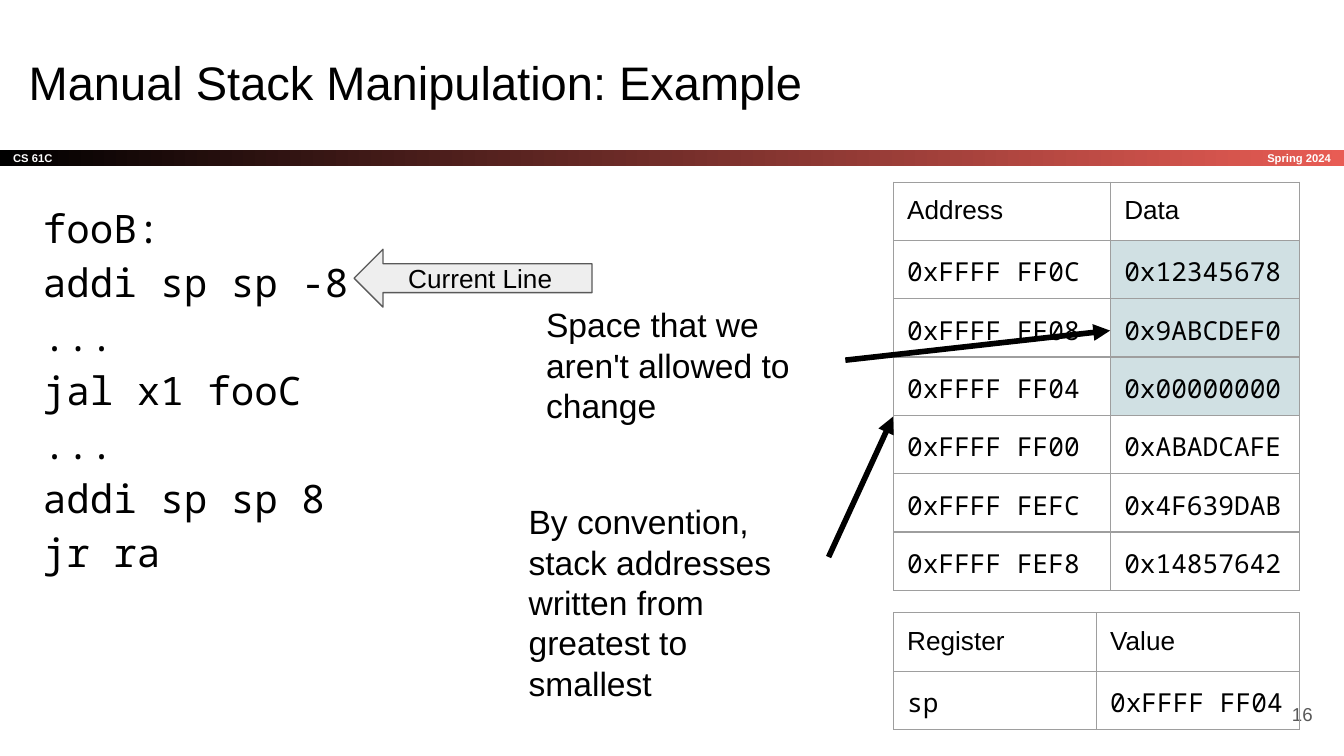
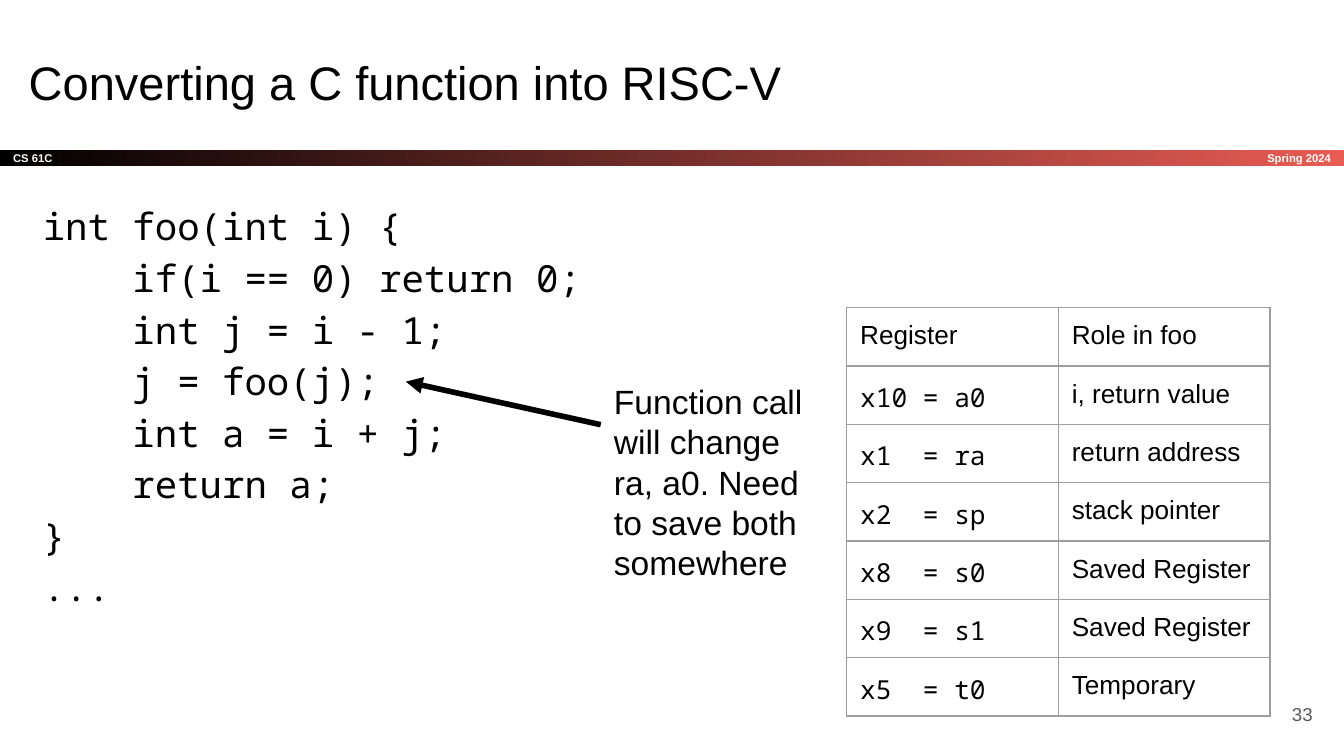
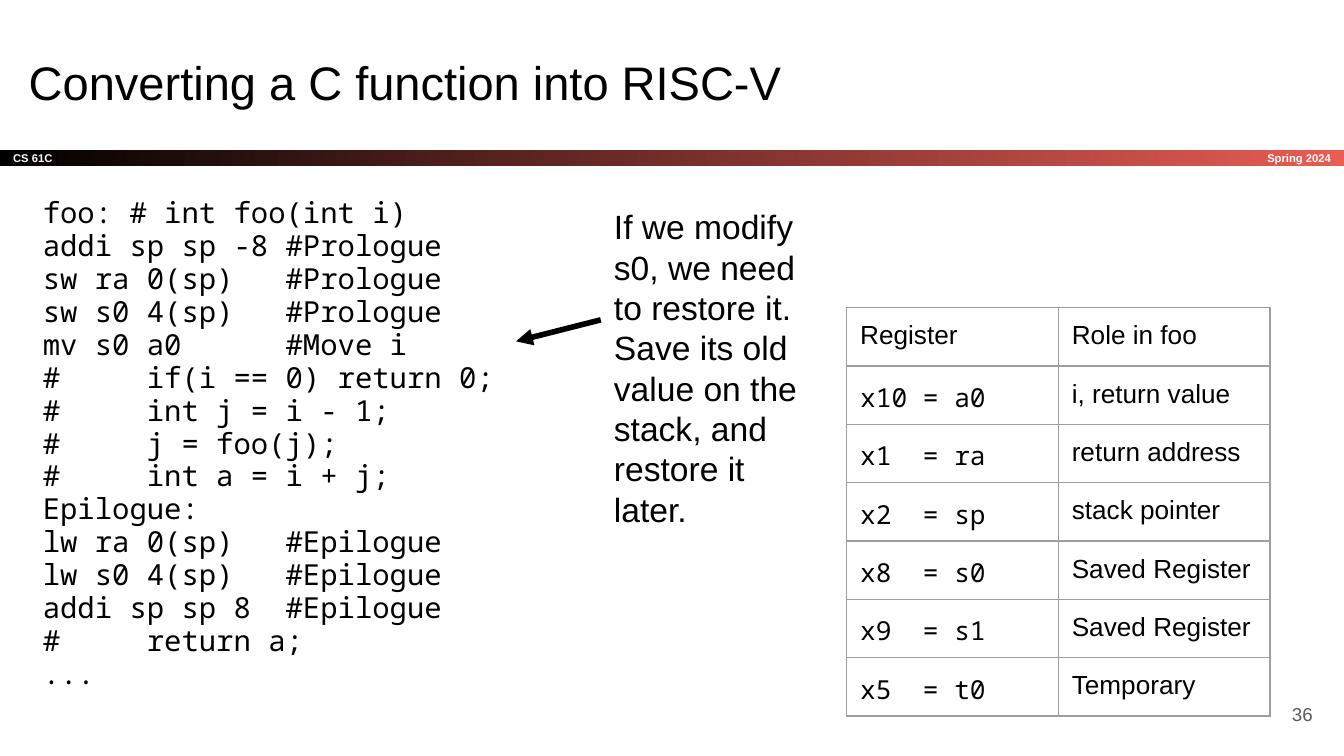
"""Build three lecture slides on the RISC-V stack and calling convention."""
from dataclasses import dataclass

from lxml import etree
from pptx import Presentation
from pptx import util as u
from pptx.dml.color import RGBColor
from pptx.enum import shapes, text
from pptx.oxml.ns import qn

EMU_PER_PX = 4572
INSET = 20
ROW_H = 84
TABLE_FRAME = 656


@dataclass(frozen=True)
class Theme:
    """Colours, fonts and type sizes shared by the slides."""
    ink: str = "000000"
    accent: str = "E85C54"
    paper: str = "FFFFFF"
    muted: str = "595959"
    grid: str = "9E9E9E"
    callout: str = "EEEEEE"
    in_use: str = "D0E0E3"
    sans: str = "Arial"
    mono: str = "Noto Sans Mono"
    title: float = 25.2
    note: float = 18
    label: float = 14
    number: float = 10
    band: float = 6
    hairline: float = 0.75
    arrow: float = 3


T = Theme()

STACK_CODE = "\v".join([
    "fooB:", "addi sp sp -8", "...", "jal x1 fooC", "...", "addi sp sp 8", "jr ra"])

STACK_ROWS = [
    ("Address", "Data"),
    ("0xFFFF FF0C", "0x12345678"),
    ("0xFFFF FF08", "0x9ABCDEF0"),
    ("0xFFFF FF04", "0x00000000"),
    ("0xFFFF FF00", "0xABADCAFE"),
    ("0xFFFF FEFC", "0x4F639DAB"),
    ("0xFFFF FEF8", "0x14857642"),
]

POINTER_ROWS = [("Register", "Value"), ("sp", "0xFFFF FF04")]

ROLE_ROWS = [
    ("Register", "Role in foo"),
    ("x10 = a0", "i, return value"),
    ("x1  = ra", "return address"),
    ("x2  = sp", "stack pointer"),
    ("x8  = s0", "Saved Register"),
    ("x9  = s1", "Saved Register"),
    ("x5  = t0", "Temporary"),
]

C_CODE = """int foo(int i) {
    if(i == 0) return 0;
    int j = i - 1;
    j = foo(j);
    int a = i + j;
    return a;
}
..."""

ASM_CODE = """foo: # int foo(int i)
addi sp sp -8 #Prologue
sw ra 0(sp)   #Prologue
sw s0 4(sp)   #Prologue
mv s0 a0      #Move i
#     if(i == 0) return 0;
#     int j = i - 1;
#     j = foo(j);
#     int a = i + j;
Epilogue:
lw ra 0(sp)   #Epilogue
lw s0 4(sp)   #Epilogue
addi sp sp 8  #Epilogue
#     return a;
..."""


def px(n):
    """Turn px into EMU."""
    return u.Emu(n * EMU_PER_PX)


def rgb(color):
    """Return a colour object for a hex string."""
    return RGBColor.from_string(color)


def set_text(tf, words, size, font=T.sans, color=T.ink, bold=False, align=None, spacing=None):
    """Fill a text frame and format all of its runs alike."""
    tf.text = words
    for p in tf.paragraphs:
        p.alignment = align
        p.line_spacing = spacing
        for r in p.runs:
            r.font.name = font
            r.font.size = u.Pt(size)
            r.font.bold = bold
            r.font.color.rgb = rgb(color)


def set_insets(tf, middle=False):
    """Give a shape's text frame equal insets, wrapping and an anchor."""
    tf.margin_left = tf.margin_right = tf.margin_top = tf.margin_bottom = px(INSET)
    tf.word_wrap = True
    tf.vertical_anchor = text.MSO_ANCHOR.MIDDLE if middle else text.MSO_ANCHOR.TOP


def add_text(s, box, words, size, middle=False, **style):
    """Add a text box and return its text frame."""
    tf = s.shapes.add_textbox(*map(px, box)).text_frame
    set_insets(tf, middle)
    set_text(tf, words, size, **style)
    return tf


def add_shape(s, kind, box, words, size, **style):
    """Add a preset shape holding vertically centred text."""
    sp = s.shapes.add_shape(kind, *map(px, box))
    sp.shadow.inherit = False
    set_insets(sp.text_frame, middle=True)
    set_text(sp.text_frame, words, size, **style)
    return sp


def add_band(s):
    """Add the gradient band with the course and the term."""
    style = dict(color=T.paper, bold=True)
    sp = add_shape(s, shapes.MSO_SHAPE.RECTANGLE, (0, 223, 2000, 24), "CS 61C", T.band,
                   align=text.PP_ALIGN.LEFT, **style)
    sp.line.fill.background()
    sp.fill.gradient()
    sp.fill.gradient_angle = 0
    for stop, color in zip(sp.fill.gradient_stops, (T.ink, T.accent)):
        stop.color.rgb = rgb(color)
    add_text(s, (1668, 223, 332, 24), "Spring 2024", T.band, middle=True,
             align=text.PP_ALIGN.RIGHT, **style)


def add_slide(prs, title, number):
    """Add a blank slide with the band, title and slide number."""
    s = prs.slides.add_slide(prs.slide_layouts[6])
    add_band(s)
    add_text(s, (23, 60, 1864, 126), title, T.title)
    add_text(s, (1853, 1020, 120, 86), str(number), T.number, middle=True,
             color=T.muted, align=text.PP_ALIGN.RIGHT)
    return s


def add_code(s, words, size, spacing, width=1864):
    """Add the code listing on the left."""
    return add_text(s, (44, 273, width, 824), words, size, font=T.mono, spacing=spacing)


def add_callout(s, box, words):
    """Add a left-pointing block arrow with a label."""
    sp = add_shape(s, shapes.MSO_SHAPE.LEFT_ARROW, box, words, T.label,
                   align=text.PP_ALIGN.CENTER)
    sp.fill.solid()
    sp.fill.fore_color.rgb = rgb(T.callout)
    sp.line.color.rgb = rgb(T.muted)
    sp.line.width = u.Pt(T.hairline)


def add_arrow(s, start, end):
    """Add a straight arrow pointing at end."""
    c = s.shapes.add_connector(shapes.MSO_CONNECTOR.STRAIGHT, *map(px, start + end))
    c.line.color.rgb = rgb(T.ink)
    c.line.width = u.Pt(T.arrow)
    props = c._element.spPr
    etree.SubElement(props.find(qn("a:ln")), qn("a:tailEnd"), type="triangle")
    etree.SubElement(props, qn("a:effectLst"))


def set_borders(cell):
    """Draw a thin line on all sides of a table cell."""
    props = cell._tc.get_or_add_tcPr()
    for side in "LRTB":
        ln = etree.SubElement(props, qn(f"a:ln{side}"), w=str(u.Pt(T.hairline)))
        fill = etree.SubElement(ln, qn("a:solidFill"))
        etree.SubElement(fill, qn("a:srgbClr"), val=T.grid)


def add_table(s, left, top, widths, rows, mono_cols=(0, 1), shaded=()):
    """Add a ruled table with a sans header and monospaced columns below."""
    box = (left, top, TABLE_FRAME, TABLE_FRAME)
    frame = s.shapes.add_table(len(rows), len(widths), *map(px, box))
    table = frame.table
    table.first_row = table.horz_banding = False
    for col, width in zip(table.columns, widths):
        col.width = px(width)
    for i, row in enumerate(rows):
        table.rows[i].height = px(ROW_H)
        for j, words in enumerate(row):
            cell = table.cell(i, j)
            cell.margin_left = cell.margin_right = px(INSET)
            cell.margin_top = cell.margin_bottom = px(INSET)
            font = T.mono if i and j in mono_cols else T.sans
            set_text(cell.text_frame, words, T.label, font=font)
            set_borders(cell)
            if (i, j) in shaded:
                cell.fill.solid()
                cell.fill.fore_color.rgb = rgb(T.in_use)
            else:
                cell.fill.background()
    frame.width = frame.height = px(TABLE_FRAME)


def add_stack_slide(prs):
    """Add the stack manipulation example."""
    s = add_slide(prs, "Manual Stack Manipulation: Example", 16)
    tf = add_code(s, STACK_CODE, 21, 1.15, width=1082)
    tf.paragraphs[0].space_after = u.Pt(12)
    add_table(s, 1330, 271, (323, 281), STACK_ROWS, shaded=[(i, 1) for i in (1, 2, 3)])
    add_table(s, 1330, 912, (302, 302), POINTER_ROWS)
    add_callout(s, (527, 371, 354, 86), "Current Line")
    add_text(s, (793, 433, 466, 206), "Space that we aren't allowed to change", T.note)
    add_arrow(s, (1258, 536), (1652, 492))
    add_text(s, (767, 726, 466, 206),
             "By convention, stack addresses written from greatest to smallest", T.note)
    add_arrow(s, (1233, 829), (1329, 620))


def add_conversion_slide(prs, number, code, size, spacing, note, note_top, start, end):
    """Add a step of the C to RISC-V conversion with its register roles."""
    s = add_slide(prs, "Converting a C function into RISC-V", number)
    add_code(s, code, size, spacing)
    add_table(s, 1260, 458, (315, 315), ROLE_ROWS, mono_cols=(0,))
    add_arrow(s, start, end)
    add_text(s, (894, note_top, 346, 172), note, T.note)


def main():
    """Build the presentation and save it."""
    prs = Presentation()
    prs.slide_width, prs.slide_height = px(2000), px(1125)
    add_stack_slide(prs)
    add_conversion_slide(
        prs, 33, C_CODE, 20, 1.15,
        "Function call will change ra, a0. Need to save both somewhere",
        547, (894, 632), (604, 568))
    add_conversion_slide(
        prs, 36, ASM_CODE, 15.5, 0.95,
        "If we modify s0, we need to restore it. Save its old value on the stack, "
        "and restore it later.",
        287, (894, 476), (768, 508))
    prs.save("out.pptx")


if __name__ == "__main__":
    main()
